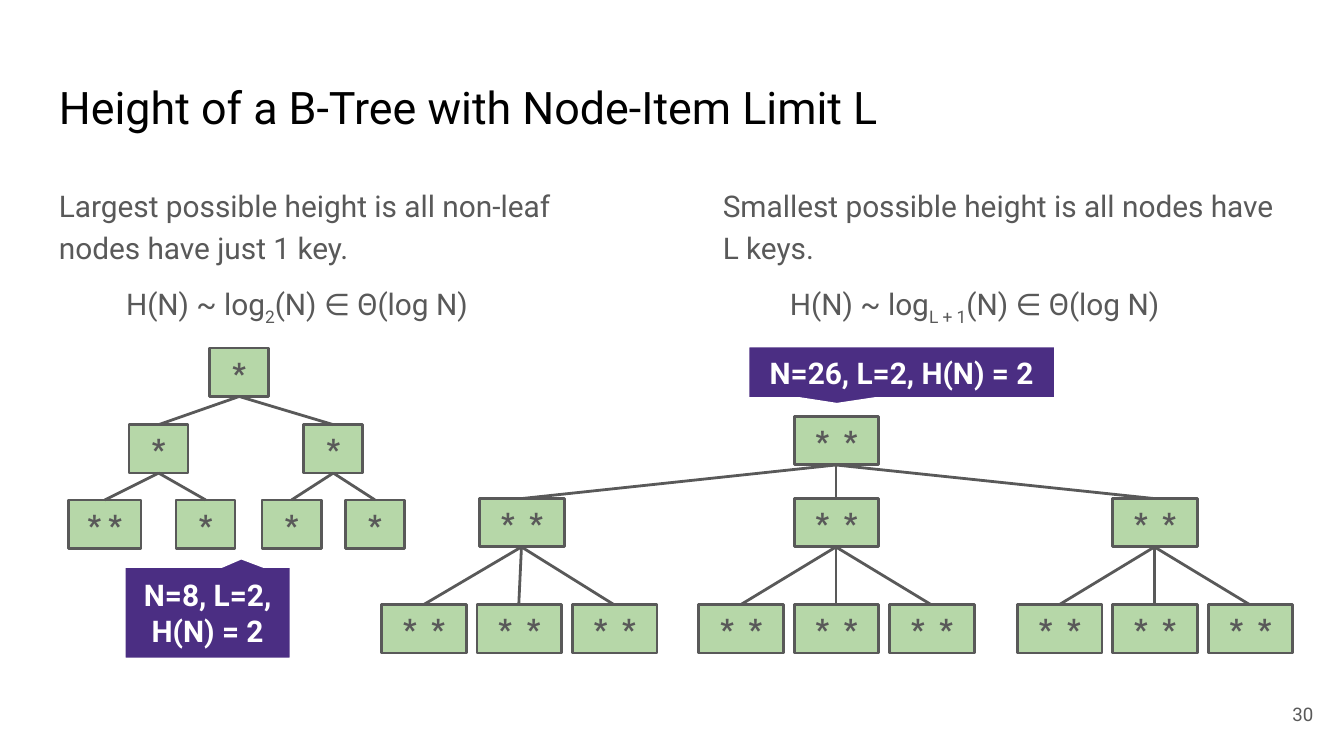
import pptx
import pptx.util
import pptx.dml.color
import pptx.enum.shapes
import pptx.enum.text
import pptx.oxml.ns
import lxml.etree

RGB = pptx.dml.color.RGBColor
SHAPE = pptx.enum.shapes.MSO_SHAPE
ALIGN = pptx.enum.text.PP_ALIGN
ANCHOR = pptx.enum.text.MSO_ANCHOR
Pt = pptx.util.Pt

BLACK = RGB(0x00, 0x00, 0x00)
WHITE = RGB(0xFF, 0xFF, 0xFF)
GRAY = RGB(0x59, 0x59, 0x59)
GREEN = RGB(0xB6, 0xD7, 0xA8)
PURPLE = RGB(0x4B, 0x2E, 0x83)

FONT = "Roboto"
INSET = 10
NODE_H = 36


def px(n):
    """Turn px (100 to the inch) into EMU."""
    return pptx.util.Emu(n * 9144)


def style(par, size, color, bold=False):
    for run in par.runs:
        font = run.font
        font.name, font.size, font.bold = FONT, Pt(size), bold
        font.color.rgb = color


def set_frame(frame, anchor):
    frame.word_wrap = True
    frame.vertical_anchor = anchor
    frame.margin_left = frame.margin_right = px(INSET)
    frame.margin_top = frame.margin_bottom = px(INSET)


def add_text(slide, box, text, size, color, anchor=ANCHOR.TOP, align=ALIGN.LEFT):
    frame = slide.shapes.add_textbox(*map(px, box)).text_frame
    set_frame(frame, anchor)
    frame.text = text
    par = frame.paragraphs[0]
    par.alignment = align
    style(par, size, color)
    return frame


def add_claim(slide, left, text, base):
    """Add a statement with its indented height formula below."""
    frame = add_text(slide, (left, 126, 437, 120), text, 16, GRAY)
    frame.paragraphs[0].line_spacing = 1.15
    par = frame.add_paragraph()
    par.line_spacing = 1.15
    par.space_before = par.space_after = Pt(8)
    par._p.get_or_add_pPr().set("marL", str(px(50)))
    for part in ("H(N) ~ log", base, "(N) ∈ Θ(log N)"):
        par.add_run().text = part
    style(par, 16, GRAY)
    par.runs[1].font._element.set("baseline", "-25000")


def add_box(slide, kind, box, text, fill, edge, width, color):
    shape = slide.shapes.add_shape(kind, *map(px, box))
    shape.shadow.inherit = False
    shape.fill.solid()
    shape.fill.fore_color.rgb = fill
    shape.line.color.rgb = edge
    shape.line.width = Pt(width)
    frame = shape.text_frame
    set_frame(frame, ANCHOR.MIDDLE)
    frame.text = text
    par = frame.paragraphs[0]
    par.alignment = ALIGN.CENTER
    style(par, 16, color, True)
    return shape


def add_node(slide, mid, top, text, width):
    box = (mid - width // 2, top, width, NODE_H)
    add_box(slide, SHAPE.RECTANGLE, box, text, GREEN, GRAY, 1.5, GRAY)


def add_edge(slide, start, end):
    kind = pptx.enum.shapes.MSO_CONNECTOR.STRAIGHT
    line = slide.shapes.add_connector(kind, *map(px, start + end))
    line.line.color.rgb = GRAY
    line.line.width = Pt(1.5)
    lxml.etree.SubElement(line._element.spPr, pptx.oxml.ns.qn("a:effectLst"))


def add_tree(slide, tops, rows, fan, label):
    """Draw rows of node centres, with fan children to each parent.

    label(row, index) gives a node's text and width.
    """
    for row, (top, mids) in enumerate(zip(tops, rows)):
        for i, mid in enumerate(mids):
            add_node(slide, mid, top, *label(row, i))
            if row:
                start = (rows[row - 1][i // fan], tops[row - 1] + NODE_H)
                add_edge(slide, start, (mid, top))


def add_callout(slide, box, text, tip):
    kind = SHAPE.ROUNDED_RECTANGULAR_CALLOUT
    shape = add_box(slide, kind, box, text, PURPLE, WHITE, 2.25, WHITE)
    for i, value in enumerate((*tip, 0)):
        shape.adjustments[i] = value


def main():
    deck = pptx.Presentation()
    deck.slide_width, deck.slide_height = px(1000), pptx.util.Inches(5.625)
    slide = deck.slides.add_slide(deck.slide_layouts[6])

    title = "Height of a B-Tree with Node-Item Limit L"
    add_text(slide, (34, 49, 932, 63), title, 24, BLACK)
    add_claim(slide, 34, "Largest possible height is all non-leaf nodes have just 1 key.", "2")
    add_claim(slide, 528, "Smallest possible height is all nodes have L keys.", "L + 1")
    add_text(slide, (927, 510, 60, 43), "30", 10, GRAY, ANCHOR.MIDDLE, ALIGN.RIGHT)

    tall = [[178], [118, 248], [78, 153, 217, 279]]
    add_tree(slide, (259, 316, 372), tall, 2,
             lambda row, i: ("* *", 54) if (row, i) == (2, 0) else ("*", 44))

    wide = [[622], [388, 622, 859],
            [315, 386, 457, 551, 622, 693, 788, 859, 930]]
    add_tree(slide, (310, 371, 450), wide, 3, lambda row, i: ("*  *", 63))

    add_callout(slide, (92, 421, 125, 70), "N=8, L=2, H(N) = 2", (0.2, -0.59))
    add_callout(slide, (556, 257, 230, 40), "N=26, L=2, H(N) = 2", (-0.21, 0.61))
    deck.save("out.pptx")


if __name__ == "__main__":
    main()
